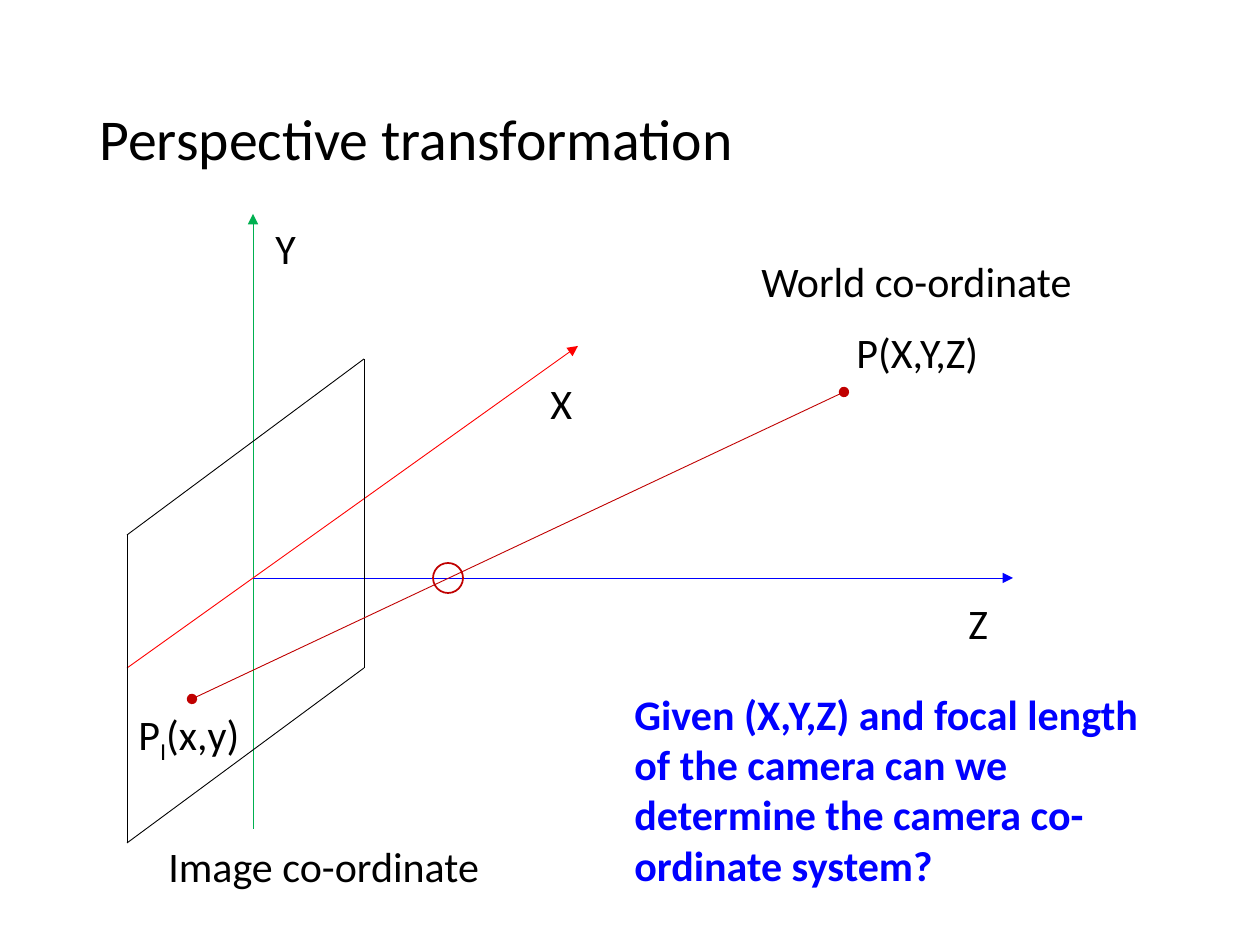
from lxml import etree
from pptx import Presentation
from pptx import util as u
from pptx.dml.color import RGBColor
from pptx.enum import shapes, text
from pptx.oxml.ns import qn

FONT = "Calibri"
BLACK, BLUE, RED, GREEN, CRIMSON = "000000", "0000FF", "FF0000", "00B050", "C00000"


def px(length):
    """Turn pixels at 126 to the inch into EMU."""
    return u.Emu(round(length * 914400 / 126))


def colour(value):
    """Turn a hex string into a colour."""
    return RGBColor.from_string(value)


def add_run(paragraph, words, size=24, hue=BLACK, bold=False, baseline=None):
    """Add one formatted run to a paragraph."""
    run = paragraph.add_run()
    run.text = words
    font = run.font
    font.name, font.size, font.bold = FONT, u.Pt(size), bold
    font.color.rgb = colour(hue)
    if baseline is not None:
        run._r.get_or_add_rPr().set("baseline", str(baseline))


def set_title(slide, words):
    """Place and fill the title placeholder."""
    title = slide.shapes.title
    title.left, title.top, title.width, title.height = map(px, (87, 50, 1086, 183))
    title.text_frame.vertical_anchor = text.MSO_ANCHOR.MIDDLE
    paragraph = title.text_frame.paragraphs[0]
    paragraph.alignment = text.PP_ALIGN.LEFT
    paragraph.line_spacing = 0.9
    add_run(paragraph, words, size=33)


def add_line(slide, start, end, hue, head=None, tail=None):
    """Draw a thin straight line with optional end marks."""
    line = slide.shapes.add_connector(
        shapes.MSO_CONNECTOR.STRAIGHT, *map(px, (*start, *end)))
    line.line.color.rgb = colour(hue)
    line.line.width = u.Pt(0.5)
    outline = line.line._get_or_add_ln()
    for tag, kind in (("a:headEnd", head), ("a:tailEnd", tail)):
        if kind:
            etree.SubElement(outline, qn(tag), type=kind)
    etree.SubElement(line._element.spPr, qn("a:effectLst"))


def add_ring(slide, centre, diameter, hue):
    """Draw an unfilled circle around a centre point."""
    left, top = (value - diameter / 2 for value in centre)
    ring = slide.shapes.add_shape(
        shapes.MSO_SHAPE.OVAL, *map(px, (left, top, diameter, diameter)))
    ring.shadow.inherit = False
    ring.fill.background()
    ring.line.color.rgb = colour(hue)
    ring.line.width = u.Pt(1)


def add_text(slide, box, runs, wrap=False, **style):
    """Add a text box made of (words, baseline) runs."""
    shape = slide.shapes.add_textbox(*map(px, box))
    frame = shape.text_frame
    frame.word_wrap = wrap
    frame.auto_size = text.MSO_AUTO_SIZE.SHAPE_TO_FIT_TEXT
    for words, baseline in runs:
        add_run(frame.paragraphs[0], words, baseline=baseline, **style)


def main():
    """Build the perspective transformation slide."""
    presentation = Presentation()
    presentation.slide_width, presentation.slide_height = px(1260), px(945)
    slide = presentation.slides.add_slide(presentation.slide_layouts[5])
    set_title(slide, "Perspective transformation")

    axes = [
        ((253, 829), (253, 214), GREEN),
        ((253, 578), (1013, 578), BLUE),
        ((127, 668), (578, 346), RED),
    ]
    for start, end, hue in axes:
        add_line(slide, start, end, hue, tail="triangle")

    image_plane = [(127, 535), (364, 359), (364, 668), (127, 843)]
    for start, end in zip(image_plane, image_plane[1:] + image_plane[:1]):
        add_line(slide, start, end, BLACK)

    add_line(slide, (192, 699), (844, 392), CRIMSON, head="oval", tail="oval")
    add_ring(slide, (448, 578), 30, CRIMSON)

    labels = [
        ("P(X,Y,Z)", 844, 320, 149),
        ("Z", 956, 591, 45),
        ("Y", 263, 216, 47),
        ("X", 538, 371, 48),
        ("World co-ordinate", 749, 249, 339),
        ("Image co-ordinate", 156, 834, 339),
    ]
    for words, left, top, width in labels:
        add_text(slide, (left, top, width, 63), [(words, None)])
    add_text(slide, (126, 702, 129, 63), [("P", None), ("I", -25000), ("(x,y)", 0)])

    question = ("Given (X,Y,Z) and focal length of the camera can we "
                "determine the camera co-ordinate system?")
    add_text(slide, (622, 682, 573, 217), [(question, None)],
             wrap=True, hue=BLUE, bold=True)
    presentation.save("out.pptx")


if __name__ == "__main__":
    main()
